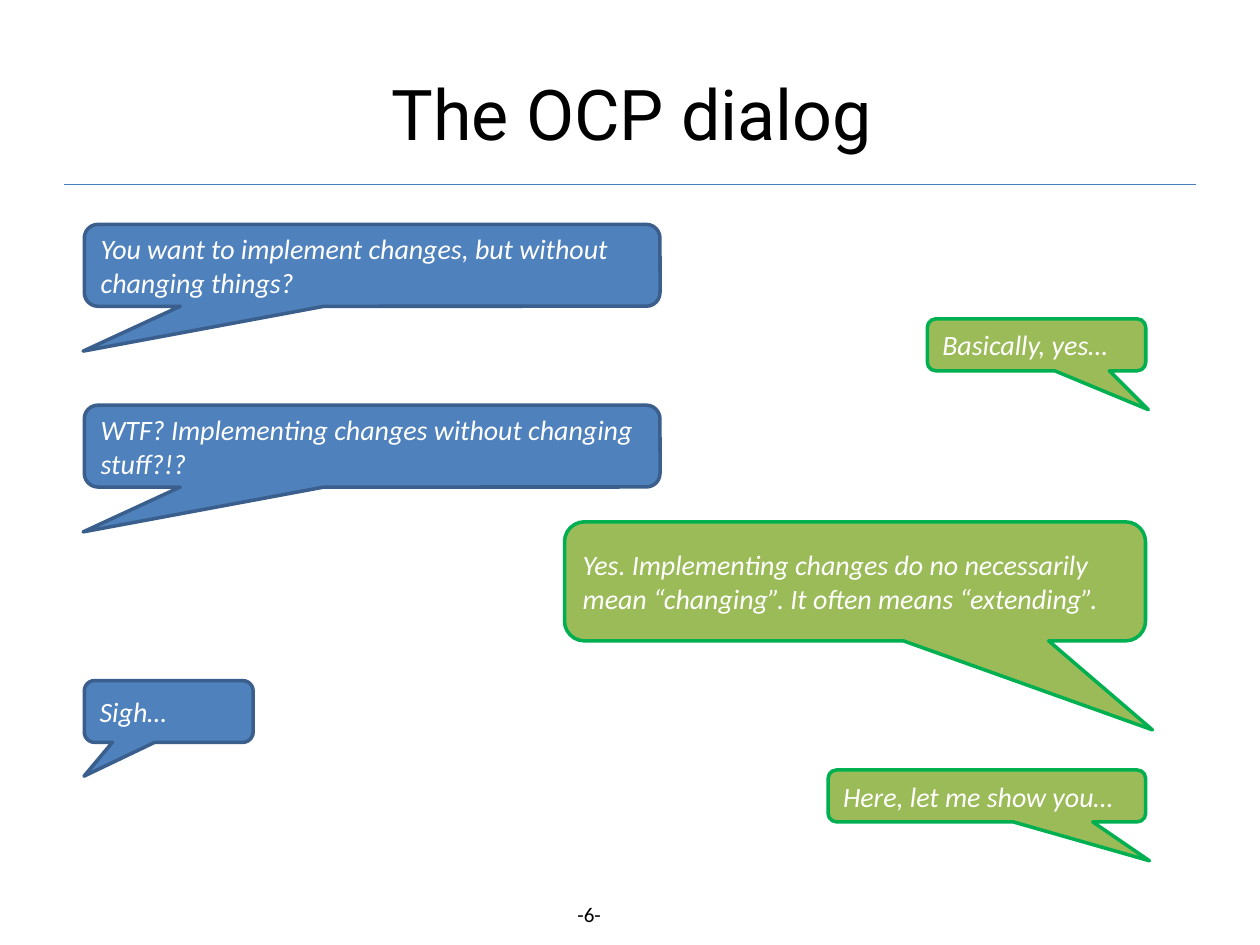
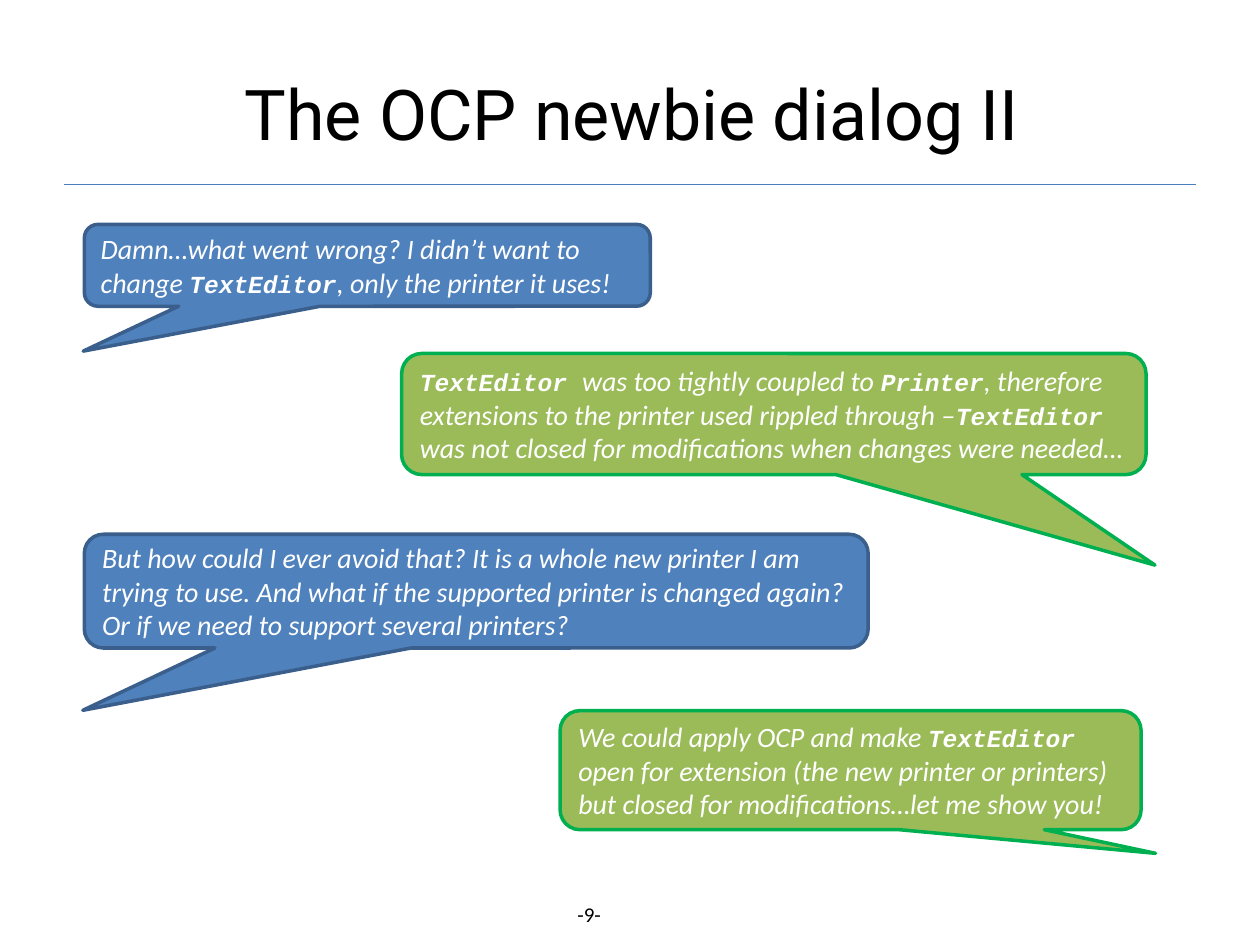
from lxml.etree import SubElement
from pptx import Presentation
from pptx.dml.color import RGBColor
from pptx.enum.shapes import MSO_CONNECTOR, MSO_SHAPE
from pptx.enum.text import MSO_ANCHOR, PP_ALIGN
from pptx.oxml.ns import qn
from pptx.util import Pt

BLACK = RGBColor(0x00, 0x00, 0x00)
WHITE = RGBColor(0xFF, 0xFF, 0xFF)
RULE_BLUE = RGBColor(0x4B, 0x7E, 0xBC)
BLUE = RGBColor(0x4F, 0x81, 0xBD)
DARK_BLUE = RGBColor(0x3A, 0x5F, 0x8C)
GREEN = RGBColor(0x9B, 0xBB, 0x59)
BRIGHT_GREEN = RGBColor(0x00, 0xB0, 0x50)

TITLE = {"name": "Roboto", "size": Pt(40)}
FOOTER = {"name": "Calibri", "size": Pt(12)}
SPEECH = {"name": "Calibri", "size": Pt(16), "italic": True}
CODE = {"name": "Courier New", "size": Pt(14), "italic": True, "bold": True}

# Fill, outline and tail tip of each speaker's bubbles
NEWBIE = (BLUE, DARK_BLUE, (-0.502, 1.048))
EXPERT = (GREEN, BRIGHT_GREEN, (0.512, 1.248))
EXPERT_SHORT_TAIL = (GREEN, BRIGHT_GREEN, (0.525, 0.699))
NEWBIE_LEFT = 48.2

# Title, page number, bubbles: speaker, (left, top, width, height), text.
# Backticks enclose code words.
DIALOGS = [
    ("The OCP dialog", 6, [
        (NEWBIE, (NEWBIE_LEFT, 128.2, 329, 46.8),
         "You want to implement changes, but without changing things?"),
        (EXPERT, (529.9, 182.2, 124.8, 29.7), "Basically, yes…"),
        (NEWBIE, (NEWBIE_LEFT, 231.5, 329, 46.8),
         "WTF? Implementing changes without changing stuff?!?"),
        (EXPERT, (322.6, 298.2, 332, 68),
         "Yes. Implementing changes do no necessarily mean “changing”. "
         "It often means “extending”."),
        (NEWBIE, (NEWBIE_LEFT, 388.9, 96.5, 35.3), "Sigh…"),
        (EXPERT, (473.2, 440, 181.5, 29.7), "Here, let me show you…"),
    ]),
    ("The OCP newbie dialog II", 9, [
        (NEWBIE, (NEWBIE_LEFT, 128.2, 323.4, 46.8),
         "Damn…what went wrong? I didn’t want to change `TextEditor`, "
         "only the printer it uses!"),
        (EXPERT, (229.5, 202, 425.4, 69.2),
         "`TextEditor `was too tightly coupled to `Printer`, therefore "
         "extensions to the printer used rippled through –`TextEditor `"
         "was not closed for modifications when changes were needed…"),
        (NEWBIE, (NEWBIE_LEFT, 305.3, 447.9, 65),
         "But how could I ever avoid that? It is a whole new printer I am "
         "trying to use. And what if the supported printer is changed again? "
         "Or if we need to support several printers?"),
        (EXPERT_SHORT_TAIL, (320.1, 406.1, 332, 68),
         "We could apply OCP and make `TextEditor` open for extension "
         "(the new printer or printers) but closed for modifications…"
         "let me show you!"),
    ]),
]


def write(box, text, style, color, align, anchor):
    """Fill a shape with text, setting the parts in backticks as code."""
    frame = box.text_frame
    frame.word_wrap = True
    frame.vertical_anchor = anchor
    para = frame.paragraphs[0]
    para.alignment = align
    for index, part in enumerate(text.split("`")):
        if part:
            span = para.add_run()
            span.text = part
            span.font.color.rgb = color
            for name, value in (CODE if index % 2 else style).items():
                setattr(span.font, name, value)


deck = Presentation()
deck.slide_width, deck.slide_height = Pt(720), Pt(540)

for title, number, bubbles in DIALOGS:
    page = deck.slides.add_slide(deck.slide_layouts[6])
    shapes = page.shapes

    # Page number
    box = shapes.add_textbox(Pt(318.2), Pt(511.9), Pt(39.6), Pt(21.6))
    write(box, f"-{number}- ", FOOTER, BLACK, PP_ALIGN.CENTER, MSO_ANCHOR.TOP)

    # Rule under the title
    rule = shapes.add_connector(
        MSO_CONNECTOR.STRAIGHT, Pt(36.7), Pt(105.5), Pt(683.3), Pt(105.5))
    rule.line.color.rgb = RULE_BLUE
    rule.line.width = Pt(0.75)
    SubElement(rule.element.spPr, qn("a:effectLst"))

    # Title
    box = shapes.add_textbox(Pt(70.6), Pt(19.4), Pt(581), Pt(90))
    write(box, title, TITLE, BLACK, PP_ALIGN.CENTER, MSO_ANCHOR.MIDDLE)

    # Speech bubbles
    for (fill, outline, tip), place, text in bubbles:
        bubble = shapes.add_shape(
            MSO_SHAPE.ROUNDED_RECTANGULAR_CALLOUT, *map(Pt, place))
        bubble.shadow.inherit = False
        bubble.fill.solid()
        bubble.fill.fore_color.rgb = fill
        bubble.line.color.rgb = outline
        bubble.line.width = Pt(2)
        bubble.adjustments[0], bubble.adjustments[1] = tip
        write(bubble, text, SPEECH, WHITE, PP_ALIGN.LEFT, MSO_ANCHOR.MIDDLE)

deck.save("out.pptx")
